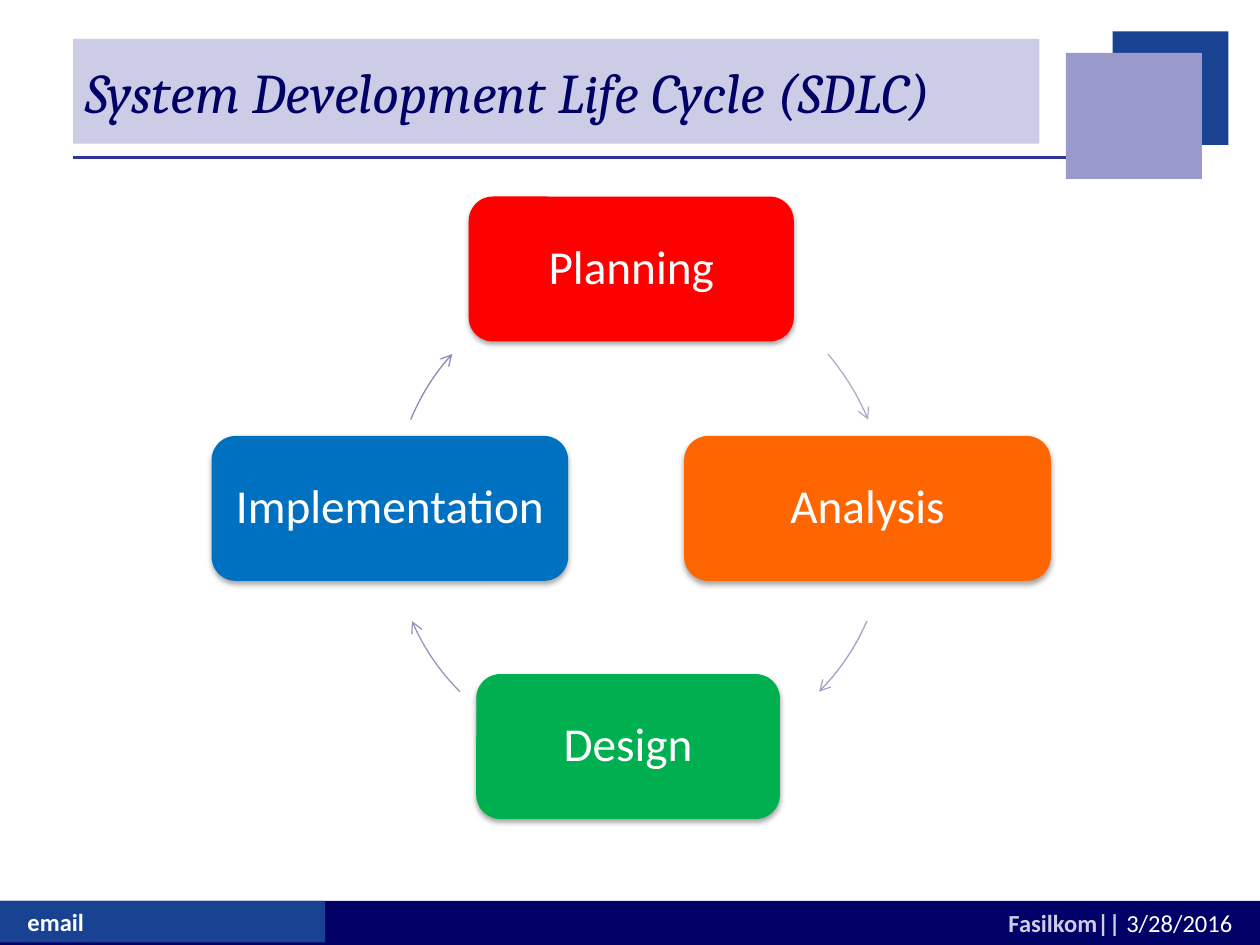
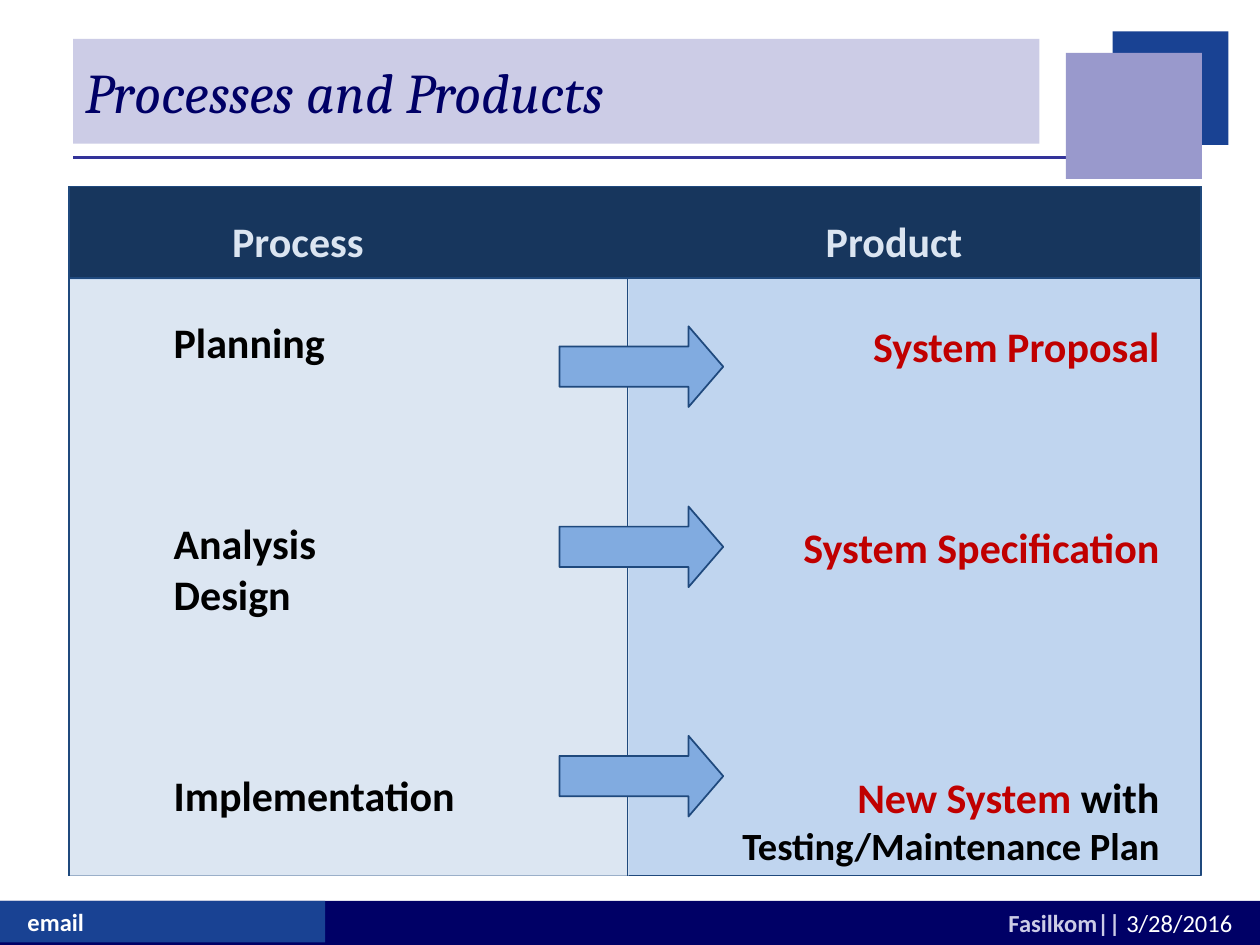
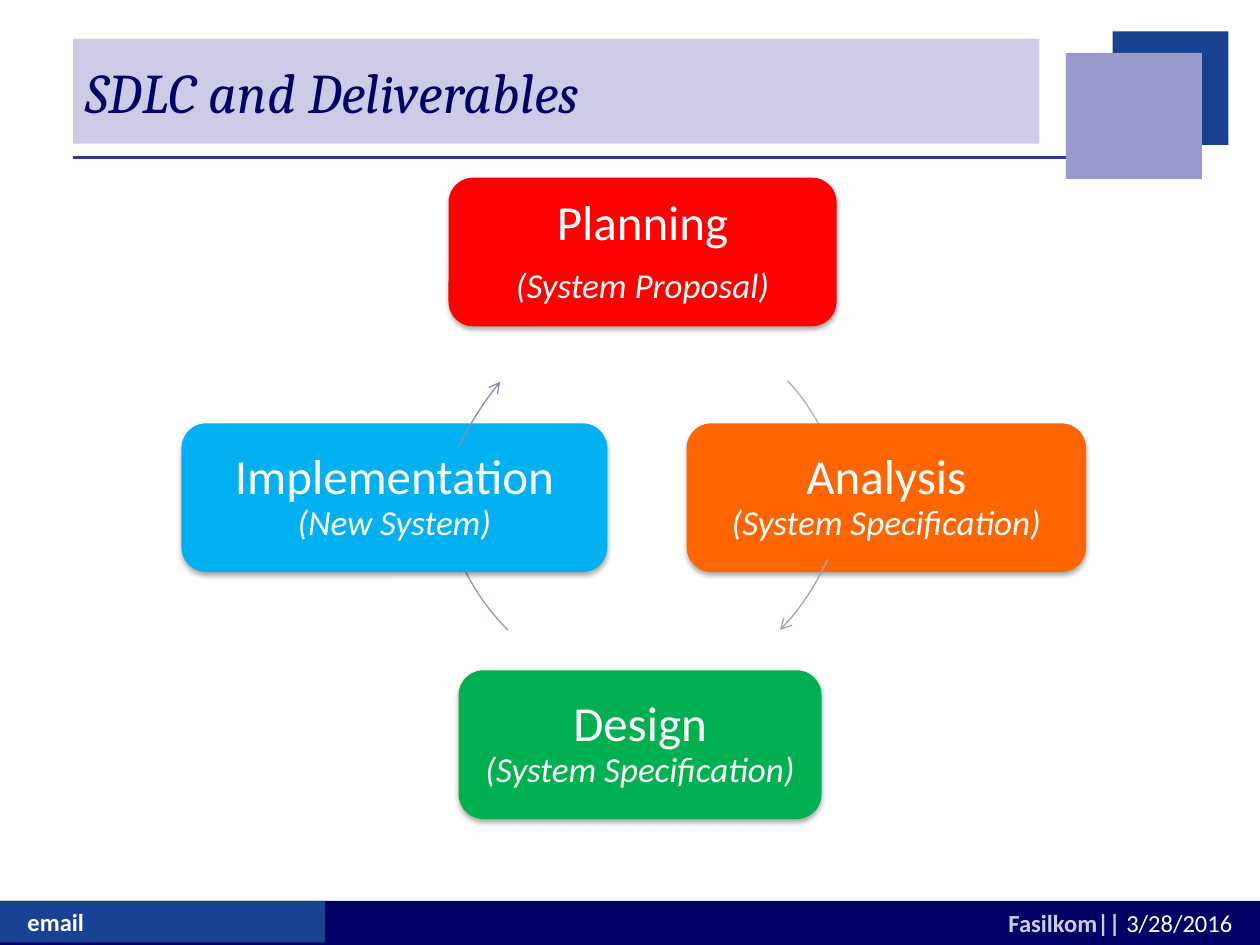
"""Builds three slides on the system development life cycle."""
from lxml.etree import SubElement
from pptx import Presentation
from pptx.dml.color import RGBColor as RGB
from pptx.enum.shapes import MSO_CONNECTOR as CONN, MSO_SHAPE as SHAPE
from pptx.enum.text import MSO_ANCHOR as ANCHOR, PP_ALIGN as ALIGN
from pptx.oxml.ns import qn
from pptx.util import Emu, Pt

PX = 9144
COLORS = {
    "white": "FFFFFF", "black": "000000", "navy": "000066", "blue": "194293",
    "lilac": "9999CC", "pale": "CCCCE6", "rule": "333399", "edge": "1F497D",
    "planning": "FF0000", "analysis": "FF6600", "design": "00B050",
    "implementation": "0070C0", "new system": "00B0F0",
    "head": "17365D", "head text": "DBE5F1", "process": "DCE6F2",
    "product": "C0D5EF", "arrow": "81ABE0", "result": "C00000",
    "arc 1": "ABB0C8", "arc 2": "A0A4C3", "arc 3": "9598BE", "arc 4": "8A8AB9",
}
TITLE = {"name": "Cambria", "size": Pt(32), "italic": True, "color": "navy"}
FOOTER = {"name": "Calibri", "size": Pt(14), "bold": True, "color": "white"}
HEADING = {"name": "Calibri", "size": Pt(24), "bold": True, "color": "head text"}
PROCESS = HEADING | {"color": "black"}
RESULT = HEADING | {"color": "result"}
STEP = {"name": "Calibri", "color": "white"}
NOTE = STEP | {"size": Pt(20), "italic": True}


def emu(*lengths):
    return [Emu(round(n * PX)) for n in lengths]


class Deck:
    """Holds the shared style and the current slide."""

    def __init__(self):
        self.prs = Presentation()
        self.prs.slide_width, self.prs.slide_height = emu(1000, 750)

    def slide(self, title):
        self.s = self.prs.slides.add_slide(self.prs.slide_layouts[6])
        self.line(58, 125, 850, 125, "rule", 2.25)
        self.shape((0, 715, 1000, 35), "navy")
        self.shape((0, 715, 258, 33), "blue")
        self.shape((883, 25, 92, 90), "blue")
        self.shape((846, 42, 108, 100), "lilac")
        self.text((12, 715, 247, 34), [([("email", FOOTER)], {})], ANCHOR.TOP)
        date = self.shape((680, 716, 308, 34), "navy")
        runs = [("Fasilkom|| ", FOOTER | {"color": "pale"}),
                ("3/28/2016", FOOTER | {"bold": False})]
        self.label(date, [(runs, {"alignment": ALIGN.RIGHT})], ANCHOR.TOP)
        band = self.shape((58, 31, 767, 83), "pale")
        self.label(band, [([(title, TITLE)], {})])

    def stroke(self, line, color, width):
        line.color.rgb = RGB.from_string(COLORS[color])
        line.width = Pt(width)

    def shape(self, box, fill, kind=SHAPE.RECTANGLE, edge=None):
        sp = self.s.shapes.add_shape(kind, *emu(*box))
        sp.shadow.inherit = False
        sp.fill.solid()
        sp.fill.fore_color.rgb = RGB.from_string(COLORS[fill])
        if edge:
            self.stroke(sp.line, edge, 1)
        else:
            sp.line.fill.background()
        return sp

    def line(self, x1, y1, x2, y2, color, width=1):
        cx = self.s.shapes.add_connector(CONN.STRAIGHT, *emu(x1, y1, x2, y2))
        self.stroke(cx.line, color, width)
        SubElement(cx._element.spPr, qn("a:effectLst"))

    def arc(self, points, color, steps=12):
        curve = []
        for i in range(steps + 1):
            t = i / steps
            weights = (1 - t) ** 3, 3 * t * (1 - t) ** 2, 3 * t * t * (1 - t), t ** 3
            curve.append(emu(*(sum(w * n for w, n in zip(weights, axis))
                               for axis in zip(*points))))
        builder = self.s.shapes.build_freeform(*curve[0])
        builder.add_line_segments(curve[1:], close=False)
        sp = builder.convert_to_shape()
        sp.shadow.inherit = False
        sp.fill.background()
        self.stroke(sp.line, color, 0.75)
        SubElement(sp._element.spPr.find(qn("a:ln")), qn("a:tailEnd"), type="arrow")

    def text(self, box, paras, anchor=ANCHOR.MIDDLE, wrap=True):
        self.label(self.s.shapes.add_textbox(*emu(*box)), paras, anchor, wrap)

    def label(self, sp, paras, anchor=ANCHOR.MIDDLE, wrap=True):
        tf = sp.text_frame
        tf.word_wrap, tf.vertical_anchor = wrap, anchor
        for i, (runs, layout) in enumerate(paras):
            p = tf.add_paragraph() if i else tf.paragraphs[0]
            for key, value in ({"alignment": ALIGN.LEFT} | layout).items():
                setattr(p, key, value)
            for words, style in runs:
                if words == "\n":
                    p.add_line_break()
                    continue
                r = p.add_run()
                r.text = words
                for key, value in style.items():
                    if key == "color":
                        r.font.color.rgb = RGB.from_string(COLORS[value])
                    else:
                        setattr(r.font, key, value)

    def step(self, box, fill, paras):
        sp = self.shape(box, fill, SHAPE.ROUNDED_RECTANGLE)
        effects = sp._element.spPr.find(qn("a:effectLst"))
        shadow = SubElement(effects, qn("a:outerShdw"), blurRad=str(Pt(3.1)),
                            dist=str(Pt(1.8)), dir="5400000", rotWithShape="0")
        black = SubElement(shadow, qn("a:srgbClr"), val=COLORS["black"])
        SubElement(black, qn("a:alpha"), val="35000")
        layout = {"alignment": ALIGN.CENTER, "line_spacing": 0.9, "space_after": Pt(10)}
        self.label(sp, [(runs, layout) for runs in paras])

    def cycle(self, tops, height, steps, arcs):
        top, middle, bottom = tops
        rows = top, middle, bottom, middle
        for i, (y, (x, w, fill, paras), arc) in enumerate(zip(rows, steps, arcs), 1):
            self.step((x, y, w, height), fill, paras)
            self.arc(arc, f"arc {i}")


def life_cycle(deck):
    deck.slide("System Development Life Cycle (SDLC)")
    style = STEP | {"size": Pt(27)}
    steps = [(x, w, name.lower(), [[(name, style)]]) for x, w, name in (
        (372, 258, "Planning"), (543, 291, "Analysis"),
        (378, 241, "Design"), (168, 283, "Implementation"))]
    deck.cycle((156, 346, 535), 115, steps, (
        ((657, 281), (670, 296), (681, 314), (689, 333)),
        ((688, 493), (679, 514), (666, 533), (650, 549)),
        ((365, 549), (349, 533), (336, 514), (327, 493)),
        ((326, 333), (334, 314), (345, 296), (359, 281))))


def products(deck):
    deck.slide("Processes and Products")
    deck.shape((55, 148, 898, 547), "product", edge="edge")
    deck.shape((55, 222, 444, 473), "process")
    deck.shape((55, 148, 898, 73), "head", edge="edge")
    for x, w, name in (173, 127, "Process"), (644, 131, "Product"):
        deck.text((x, 167, w, 48),
                  [([(name, HEADING)], {"alignment": ALIGN.CENTER})], wrap=False)
    deck.text((128, 254, 249, 394), [
        ([(name, PROCESS)], {"space_before": Pt(gap)}) for name, gap in (
            ("Planning", 0), ("Analysis", 86), ("Design", 0), ("Implementation", 86))])
    results = (
        ([("System Proposal", RESULT)], 0),
        ([("System Specification", RESULT)], 86),
        ([("New System ", RESULT), ("with ", PROCESS),
          ("Testing/Maintenance Plan", PROCESS | {"size": Pt(22)})], 114))
    deck.text((542, 257, 388, 429), [
        (runs, {"alignment": ALIGN.RIGHT, "space_before": Pt(gap)})
        for runs, gap in results])
    for x in (55, 498):
        deck.line(x, 221, x, 695, "edge")
    for y in (259, 402, 584):
        arrow = deck.shape((444, y, 130, 64), "arrow", SHAPE.RIGHT_ARROW, "edge")
        arrow.adjustments[1] = 0.43


def deliverables(deck):
    deck.slide("SDLC and Deliverables")
    style = STEP | {"size": Pt(28)}
    steps = [(356, 308, "planning",
              [[("Planning", style)], [("(System Proposal)", NOTE)]])]
    steps += [(x, w, fill, [[(name, style), ("\n", {}), (note, NOTE)]])
              for x, w, fill, name, note in (
        (545, 317, "analysis", "Analysis", "(System Specification)"),
        (364, 288, "design", "Design", "(System Specification)"),
        (144, 338, "new system", "Implementation", "(New System)"))]
    deck.cycle((141, 336, 532), 118, steps, (
        ((625, 302), (639, 317), (650, 335), (658, 353)),
        ((657, 444), (647, 465), (635, 484), (619, 500)),
        ((403, 500), (387, 484), (374, 465), (365, 444)),
        ((364, 355), (373, 336), (384, 319), (397, 303))))


def main():
    deck = Deck()
    for build in (life_cycle, products, deliverables):
        build(deck)
    deck.prs.save("out.pptx")


if __name__ == "__main__":
    main()
